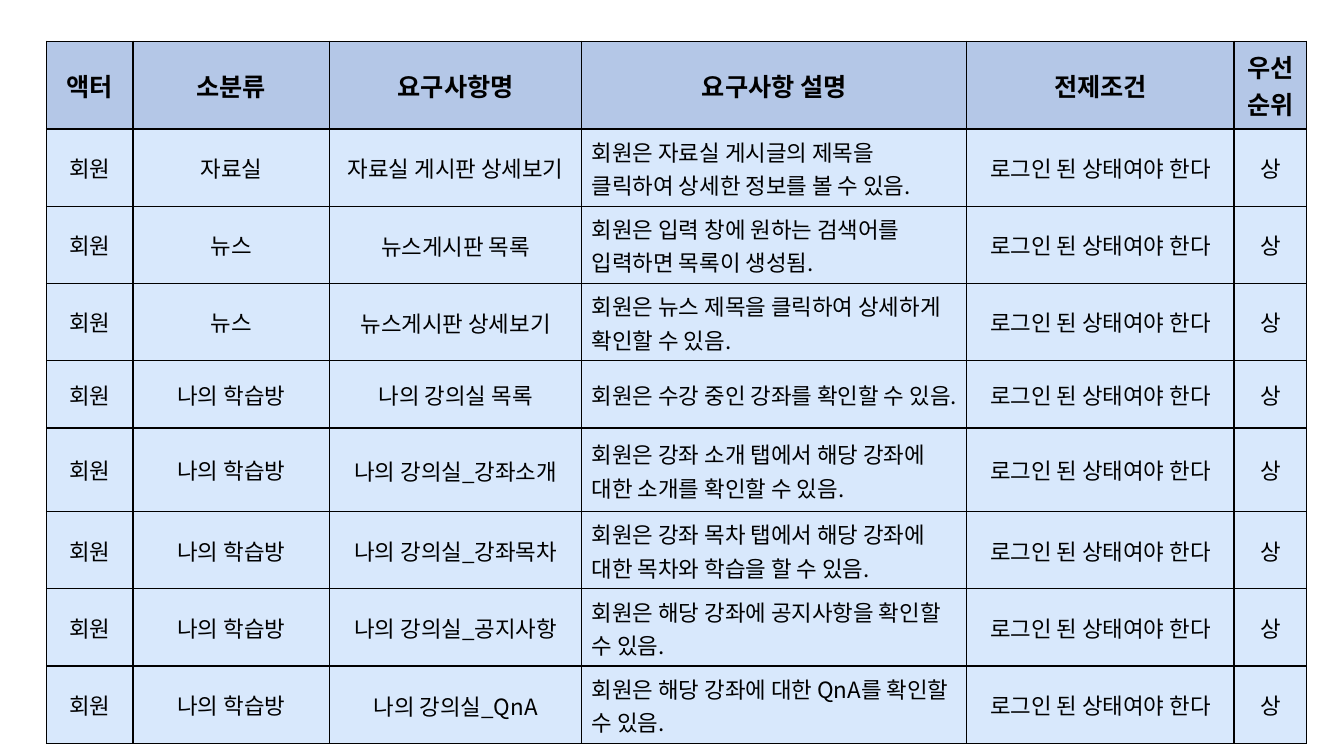
from lxml import etree
from pptx import Presentation
from pptx import util as u
from pptx.dml.color import RGBColor
from pptx.enum import text
from pptx.oxml import ns

COLORS = {"header": "B4C7E7", "body": "D8E8FC", "ink": "000000"}
GRID_COLUMNS, GRID_ROWS = 1333, 750
COLUMN_SPANS = [86, 195, 250, 382, 265, 72]
ROW_SPANS = [87, 67, 75, 72, 67, 83, 71, 71, 71]
NAME, DESCRIPTION = 2, 3

HEADINGS = ["액터", "소분류", "요구사항명", "요구사항 설명", "전제조건", "우선순위"]
ACTOR, CONDITION, PRIORITY = "회원", "로그인 된 상태여야 한다", "상"
REQUIREMENTS = [
    ("자료실", "자료실 게시판 상세보기", "회원은 자료실 게시글의 제목을 클릭하여 상세한 정보를 볼 수 있음."),
    ("뉴스", "뉴스게시판 목록", "회원은 입력 창에 원하는 검색어를 입력하면 목록이 생성됨."),
    ("뉴스", "뉴스게시판 상세보기", "회원은 뉴스 제목을 클릭하여 상세하게 확인할 수 있음."),
    ("나의 학습방", "나의 강의실 목록", "회원은 수강 중인 강좌를 확인할 수 있음."),
    ("나의 학습방", "나의 강의실_강좌소개", "회원은 강좌 소개 탭에서 해당 강좌에 대한 소개를 확인할 수 있음."),
    ("나의 학습방", "나의 강의실_강좌목차", "회원은 강좌 목차 탭에서 해당 강좌에 대한 목차와 학습을 할 수 있음."),
    ("나의 학습방", "나의 강의실_공지사항", "회원은 해당 강좌에 공지사항을 확인할 수 있음."),
    ("나의 학습방", "나의 강의실_QnA", "회원은 해당 강좌에 대한 QnA를 확인할 수 있음."),
]


class Page:
    """Hold the style and the current slide, and draw tables on its grid."""

    font = "Noto Sans CJK KR"
    header_size, body_size, border = u.Pt(18), u.Pt(16), u.Pt(1)

    def __init__(self, deck):
        self.slide = deck.slides.add_slide(deck.slide_layouts[6])
        self.column = deck.slide_width / GRID_COLUMNS
        self.row = deck.slide_height / GRID_ROWS

    def across(self, columns):
        return round(columns * self.column)

    def down(self, rows):
        return round(rows * self.row)

    def table(self, left, top, column_spans, row_spans, records):
        frame = self.slide.shapes.add_table(
            len(row_spans), len(column_spans), self.across(left), self.down(top),
            self.across(sum(column_spans)), self.down(sum(row_spans)))
        table = frame.table
        table.horz_banding = False
        for column, span in zip(table.columns, column_spans):
            column.width = self.across(span)
        for row, span in zip(table.rows, row_spans):
            row.height = self.down(span)
        for row_number, record in enumerate(records):
            for column_number, words in enumerate(record):
                self.cell(table.cell(row_number, column_number), words,
                          row_number == 0, column_number)

    def cell(self, cell, words, is_header, column_number):
        self.borders(cell)
        cell.fill.solid()
        cell.fill.fore_color.rgb = RGBColor.from_string(
            COLORS["header" if is_header else "body"])
        cell.vertical_anchor = text.MSO_ANCHOR.MIDDLE
        cell.text = words
        para = cell.text_frame.paragraphs[0]
        para.alignment = text.PP_ALIGN.CENTER
        if not is_header and column_number in (NAME, DESCRIPTION):
            para.line_spacing = 1.04
        if not is_header and column_number == DESCRIPTION:
            para.alignment = text.PP_ALIGN.LEFT
        self.style(para, self.header_size if is_header else self.body_size, is_header)

    def style(self, para, size, bold):
        font = para.font
        font.size, font.bold, font.name = size, bold, self.font
        font.color.rgb = RGBColor.from_string(COLORS["ink"])
        properties = para._p.pPr.find(ns.qn("a:defRPr"))
        etree.SubElement(properties, ns.qn("a:ea"), typeface=self.font)

    def borders(self, cell):
        properties = cell._tc.get_or_add_tcPr()
        for side in ("lnL", "lnR", "lnT", "lnB"):
            line = etree.SubElement(properties, ns.qn(f"a:{side}"), w=str(self.border))
            fill = etree.SubElement(line, ns.qn("a:solidFill"))
            etree.SubElement(fill, ns.qn("a:srgbClr"), val=COLORS["ink"])


deck = Presentation()
deck.slide_width, deck.slide_height = u.Inches(13.33), u.Inches(7.5)
page = Page(deck)
records = [HEADINGS] + [
    (ACTOR, group, name, description, CONDITION, PRIORITY)
    for group, name, description in REQUIREMENTS]
page.table(46, 41, COLUMN_SPANS, ROW_SPANS, records)
deck.save("out.pptx")
